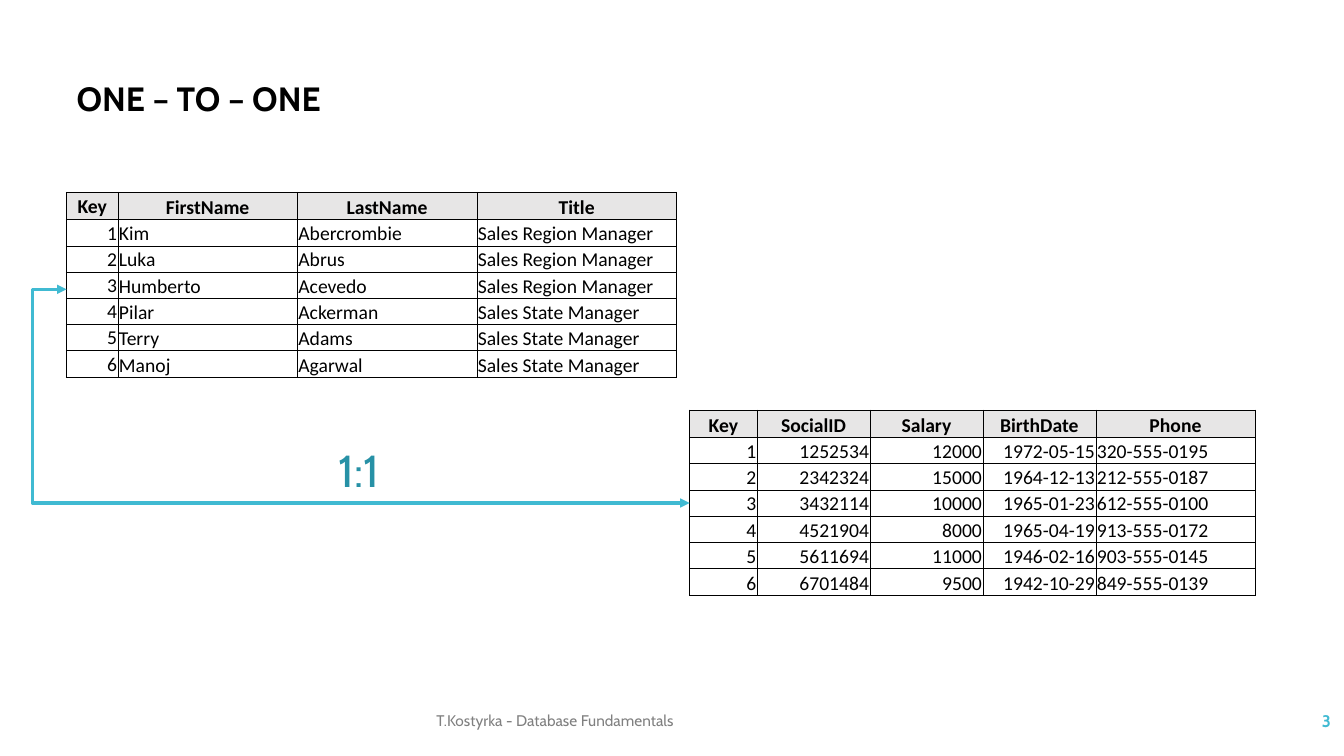
import dataclasses

import pptx
import pptx.dml.color
import pptx.enum.shapes
import pptx.enum.text
import pptx.oxml.ns
import pptx.util
from lxml import etree

Inches = pptx.util.Inches
Pt = pptx.util.Pt
qn = pptx.oxml.ns.qn
ALIGN = pptx.enum.text.PP_ALIGN
ANCHOR = pptx.enum.text.MSO_ANCHOR
AUTO_SIZE = pptx.enum.text.MSO_AUTO_SIZE


@dataclasses.dataclass(frozen=True)
class Theme:
    heading_font: str = "Cabin"
    table_font: str = "Calibri"
    black: str = "000000"
    gray: str = "808080"
    header_fill: str = "E7E6E6"
    accent: str = "40BAD2"
    dark_accent: str = "2791A6"
    title_size: float = 24
    ratio_size: float = 32
    table_size: float = 14
    page_size: float = 12
    footer_size: float = 11
    outer_border: float = 1
    inner_border: float = 0.5
    link_width: float = 2.25


THEME = Theme()

EMPLOYEES = [
    ("Key", "FirstName", "LastName", "Title"),
    ("1", "Kim", "Abercrombie", "Sales Region Manager"),
    ("2", "Luka", "Abrus", "Sales Region Manager"),
    ("3", "Humberto", "Acevedo", "Sales Region Manager"),
    ("4", "Pilar", "Ackerman", "Sales State Manager"),
    ("5", "Terry", "Adams", "Sales State Manager"),
    ("6", "Manoj", "Agarwal", "Sales State Manager"),
]
DETAILS = [
    ("Key", "SocialID", "Salary", "BirthDate", "Phone"),
    ("1", "1252534", "12000", "1972-05-15", "320-555-0195"),
    ("2", "2342324", "15000", "1964-12-13", "212-555-0187"),
    ("3", "3432114", "10000", "1965-01-23", "612-555-0100"),
    ("4", "4521904", "8000", "1965-04-19", "913-555-0172"),
    ("5", "5611694", "11000", "1946-02-16", "903-555-0145"),
    ("6", "6701484", "9500", "1942-10-29", "849-555-0139"),
]


def rgb(color):
    return pptx.dml.color.RGBColor.from_string(color)


def add_run(p, text, size, color, font=THEME.heading_font, bold=False):
    r = p.add_run()
    r.text = text
    r.font.name = font
    r.font.size = Pt(size)
    r.font.bold = bold
    r.font.color.rgb = rgb(color)


def fill_frame(sp, text, size, color, align=ALIGN.LEFT, anchor=ANCHOR.TOP,
               bold=False, grow=False):
    tf = sp.text_frame
    tf.word_wrap = True
    tf.auto_size = AUTO_SIZE.SHAPE_TO_FIT_TEXT if grow else AUTO_SIZE.NONE
    tf.vertical_anchor = anchor
    p = tf.paragraphs[0]
    p.alignment = align
    add_run(p, text, size, color, bold=bold)


def add_title(s, text, left, top, width, height):
    sp = s.shapes.title
    sp.left, sp.top = Inches(left), Inches(top)
    sp.width, sp.height = Inches(width), Inches(height)
    fill_frame(sp, text, THEME.title_size, THEME.black, ALIGN.JUSTIFY,
               bold=True, grow=True)


def add_text(s, text, left, top, width, height, size, color, **options):
    sp = s.shapes.add_textbox(Inches(left), Inches(top), Inches(width), Inches(height))
    fill_frame(sp, text, size, color, **options)


def set_borders(cell, widths):
    """Draw the left, right, top and bottom borders, with widths in points."""
    tc_pr = cell._tc.get_or_add_tcPr()
    for i, (side, width) in enumerate(zip("LRTB", widths)):
        ln = etree.Element(qn(f"a:ln{side}"), w=str(Pt(width)))
        fill = etree.SubElement(ln, qn("a:solidFill"))
        etree.SubElement(fill, qn("a:srgbClr"), val=THEME.black)
        tc_pr.insert(i, ln)


def format_cell(cell, text, align, anchor, header):
    cell.margin_left = cell.margin_right = cell.margin_top = Inches(0.01)
    cell.margin_bottom = Inches(0)
    cell.vertical_anchor = anchor
    if header:
        cell.fill.solid()
        cell.fill.fore_color.rgb = rgb(THEME.header_fill)
    else:
        cell.fill.background()
    p = cell.text_frame.paragraphs[0]
    p.alignment = ALIGN.CENTER if header else align
    add_run(p, text, THEME.table_size, THEME.black, THEME.table_font, header)


def add_data_table(s, rows, left, top, col_widths, aligns, key_anchor=ANCHOR.BOTTOM):
    """Add a table whose outline and header rule are heavier than its grid."""
    last_row, last_col = len(rows) - 1, len(col_widths) - 1
    row_heights = [0.27 if i in (0, last_row) else 0.26 for i in range(len(rows))]
    table = s.shapes.add_table(len(rows), len(col_widths), Inches(left), Inches(top),
                               Inches(sum(col_widths)), Inches(sum(row_heights))).table
    table.horz_banding = False
    for column, width in zip(table.columns, col_widths):
        column.width = Inches(width)
    for i, values in enumerate(rows):
        table.rows[i].height = Inches(row_heights[i])
        for j, text in enumerate(values):
            cell = table.cell(i, j)
            anchor = key_anchor if j == 0 else ANCHOR.BOTTOM
            format_cell(cell, text, aligns[j], anchor, header=i == 0)
            heavy = (j == 0, j == last_col, i <= 1, i in (0, last_row))
            set_borders(cell, [THEME.outer_border if edge else THEME.inner_border
                               for edge in heavy])


def add_link(s, x1, y1, x2, y2, bend):
    """Add a two-headed elbow; bend places its upright as a share of the width."""
    cx = s.shapes.add_connector(pptx.enum.shapes.MSO_CONNECTOR.ELBOW,
                                Inches(x1), Inches(y1), Inches(x2), Inches(y2))
    cx.line.color.rgb = rgb(THEME.accent)
    cx.line.width = Pt(THEME.link_width)
    sp_pr = cx._element.spPr
    geometry = sp_pr.find(qn("a:prstGeom"))
    guides = geometry.find(qn("a:avLst"))
    if guides is None:
        guides = etree.SubElement(geometry, qn("a:avLst"))
    etree.SubElement(guides, qn("a:gd"), name="adj1", fmla=f"val {round(bend * 100000)}")
    ln = sp_pr.find(qn("a:ln"))
    for end in ("a:headEnd", "a:tailEnd"):
        etree.SubElement(ln, qn(end), type="triangle")
    etree.SubElement(sp_pr, qn("a:effectLst"))


def main():
    prs = pptx.Presentation()
    prs.slide_width, prs.slide_height = Inches(13.33), Inches(7.5)
    s = prs.slides.add_slide(prs.slide_layouts.get_by_name("Title Only"))

    add_title(s, "ONE – TO – ONE", 0.66, 0.72, 10.93, 0.5)
    add_text(s, "3", 11.63, 6.95, 1.67, 0.4, THEME.page_size, THEME.accent,
             align=ALIGN.RIGHT, anchor=ANCHOR.MIDDLE, bold=True)
    add_text(s, "T.Kostyrka - Database Fundamentals", 4.23, 6.95, 6.46, 0.4,
             THEME.footer_size, THEME.gray, anchor=ANCHOR.MIDDLE)

    add_data_table(s, EMPLOYEES, 0.66, 1.91, [0.51, 1.78, 1.78, 1.98],
                   [ALIGN.RIGHT] + [ALIGN.LEFT] * 3, key_anchor=ANCHOR.MIDDLE)
    add_data_table(s, DETAILS, 6.84, 4.07, [0.67, 1.12, 1.12, 1.12, 1.58],
                   [ALIGN.RIGHT] * 4 + [ALIGN.LEFT])

    link_left, link_right, upright = 0.66, 6.84, 0.32
    add_link(s, link_left, 2.87, link_right, 4.99,
             (upright - link_left) / (link_right - link_left))
    add_text(s, "1:1", 3.26, 4.34, 1.95, 0.64, THEME.ratio_size, THEME.dark_accent,
             grow=True)

    prs.save("out.pptx")


if __name__ == "__main__":
    main()
